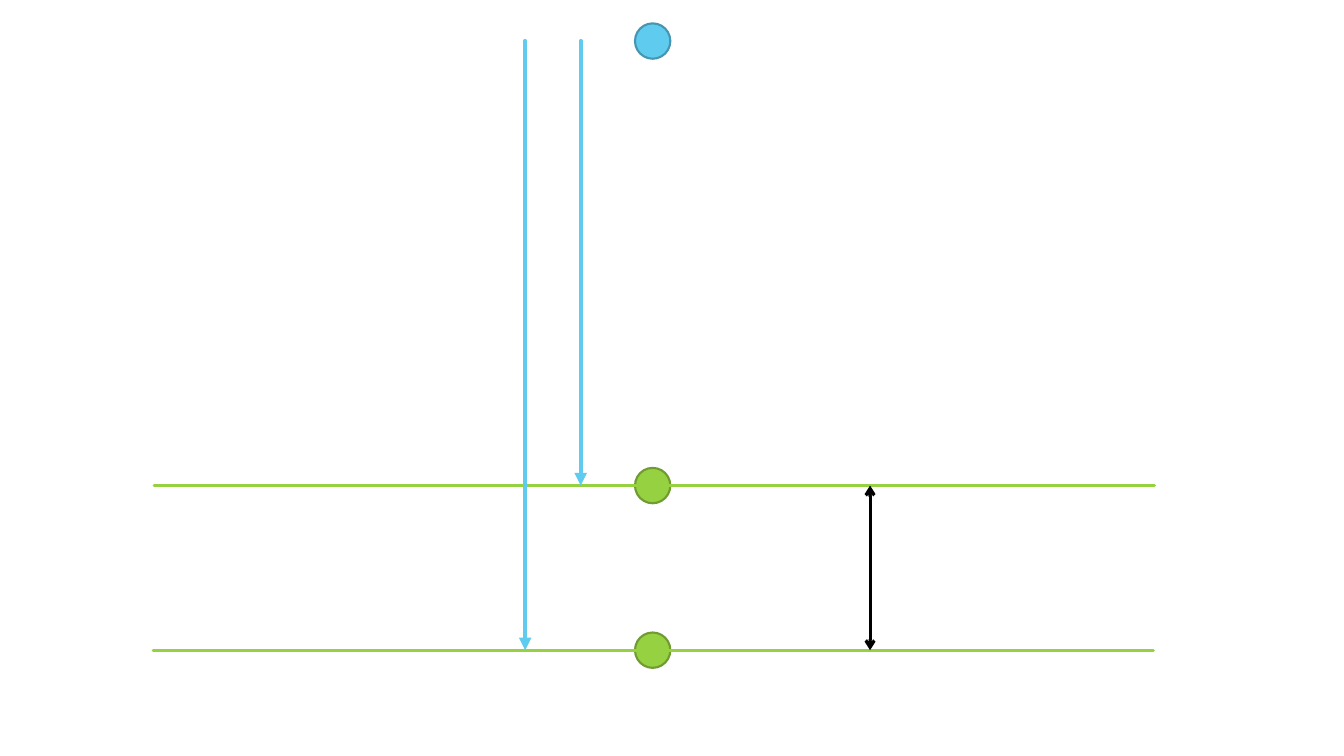
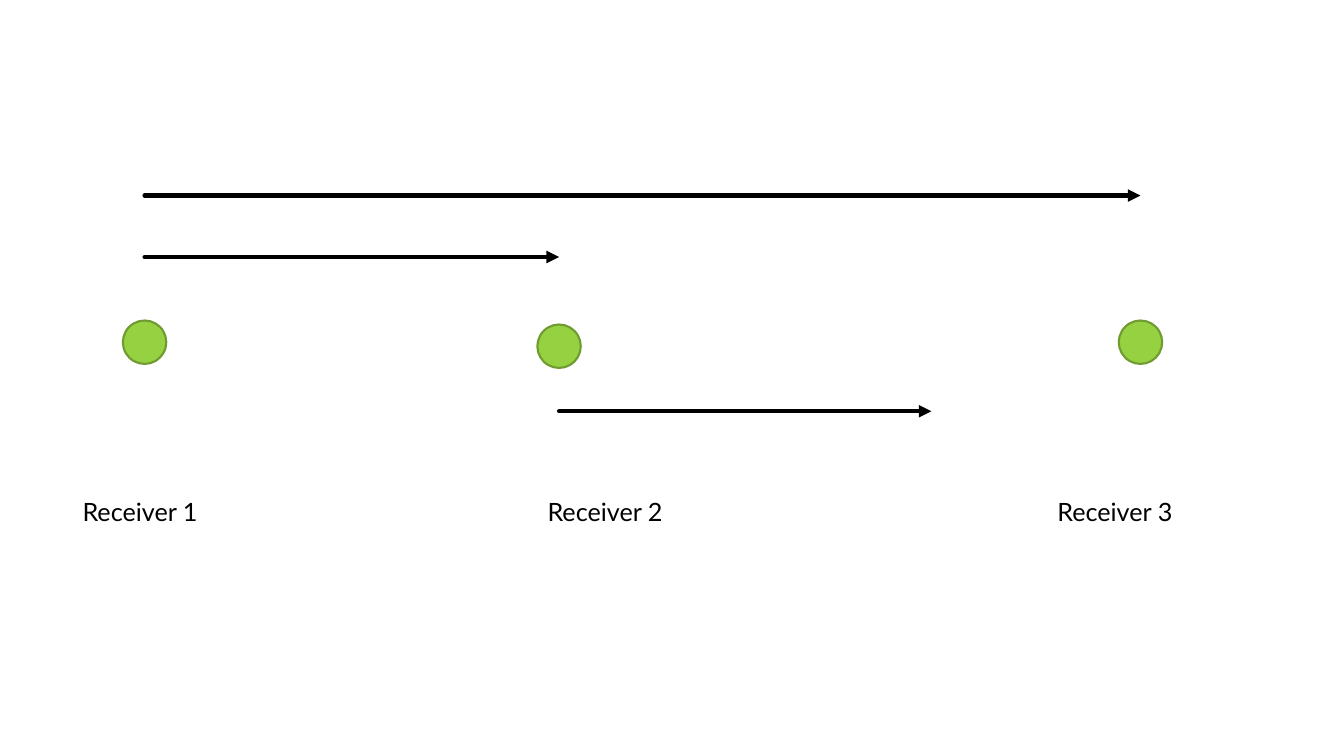
from lxml import etree
from pptx import Presentation
from pptx.dml.color import RGBColor
from pptx.enum.shapes import MSO_CONNECTOR, MSO_SHAPE
from pptx.enum.text import MSO_AUTO_SIZE
from pptx.oxml.ns import qn
from pptx.util import Inches, Pt

STRAIGHT = MSO_CONNECTOR.STRAIGHT
OVAL = MSO_SHAPE.OVAL
GROW = MSO_AUTO_SIZE.SHAPE_TO_FIT_TEXT

BLUE = RGBColor(0x5F, 0xCB, 0xEF)
BLUE_EDGE = RGBColor(0x46, 0x96, 0xB1)
GREEN = RGBColor(0x96, 0xD1, 0x41)
GREEN_EDGE = RGBColor(0x6F, 0x9B, 0x30)
BLACK = RGBColor(0, 0, 0)

FONT = "Lato"
SLIDE_W = Inches(13.333)
SLIDE_H = Inches(7.5)
BLANK = 6


def x_at(percent):
    return round(SLIDE_W * percent / 100)


def y_at(percent):
    return round(SLIDE_H * percent / 100)


def add_dot(s, x, y, size, fill=GREEN, edge=GREEN_EDGE):
    d = x_at(size)
    sp = s.shapes.add_shape(OVAL, x_at(x) - d // 2, y_at(y) - d // 2, d, d)
    sp.shadow.inherit = False
    sp.fill.solid()
    sp.fill.fore_color.rgb = fill
    sp.line.color.rgb = edge
    sp.line.width = Pt(1.5)


def add_line(s, start, end, color, width, head=None, tail=None):
    (x1, y1), (x2, y2) = start, end
    c = s.shapes.add_connector(STRAIGHT, x_at(x1), y_at(y1), x_at(x2), y_at(y2))
    c.line.color.rgb = color
    c.line.width = Pt(width)
    props = c.element.spPr
    ln = props.find(qn("a:ln"))
    ln.set("cap", "rnd")
    etree.SubElement(ln, qn("a:round"))
    for tag, kind in (("a:headEnd", head), ("a:tailEnd", tail)):
        if kind:
            etree.SubElement(ln, qn(tag), type=kind)
    etree.SubElement(props, qn("a:effectLst"))


def add_label(s, text, x, y):
    tf = s.shapes.add_textbox(x_at(x), y_at(y), x_at(10.65), y_at(5.33)).text_frame
    tf.word_wrap = True
    tf.auto_size = GROW
    tf.text = text
    font = tf.paragraphs[0].runs[0].font
    font.name = FONT
    font.size = Pt(18)
    font.color.rgb = BLACK


def build_depths(s):
    node_x, size = 48.56, 2.63
    source_y, near_y, far_y = 5.43, 64.23, 86
    level_width = 74.42

    add_dot(s, node_x, source_y, size, BLUE, BLUE_EDGE)
    for y in (near_y, far_y):
        add_dot(s, node_x, y, size)
    for x, y in ((11.48, near_y), (11.4, far_y)):
        add_line(s, (x, y), (x + level_width, y), GREEN, 2.25)
    for x, y in ((43.21, near_y), (39.08, far_y)):
        add_line(s, (x, source_y), (x, y), BLUE, 3, tail="triangle")
    add_line(s, (64.74, far_y), (64.74, near_y), BLACK, 2.25, "arrow", "arrow")


def build_receivers(s):
    first, second, third = 10.76, 41.6, 84.86
    for x, y in ((first, 45.27), (second, 45.8), (third, 45.27)):
        add_dot(s, x, y, 3.23)
    for x1, x2, y in ((first, second, 34), (second, 69.3, 54.4), (first, third, 25.87)):
        add_line(s, (x1, y), (x2, y), BLACK, 3, tail="triangle")
    for number, x in enumerate((5.4, 40, 77.93), 1):
        add_label(s, f"Receiver {number}", x, 64.93)


def main():
    prs = Presentation()
    prs.slide_width = SLIDE_W
    prs.slide_height = SLIDE_H
    for build in (build_depths, build_receivers):
        build(prs.slides.add_slide(prs.slide_layouts[BLANK]))
    prs.save("out.pptx")


if __name__ == "__main__":
    main()
